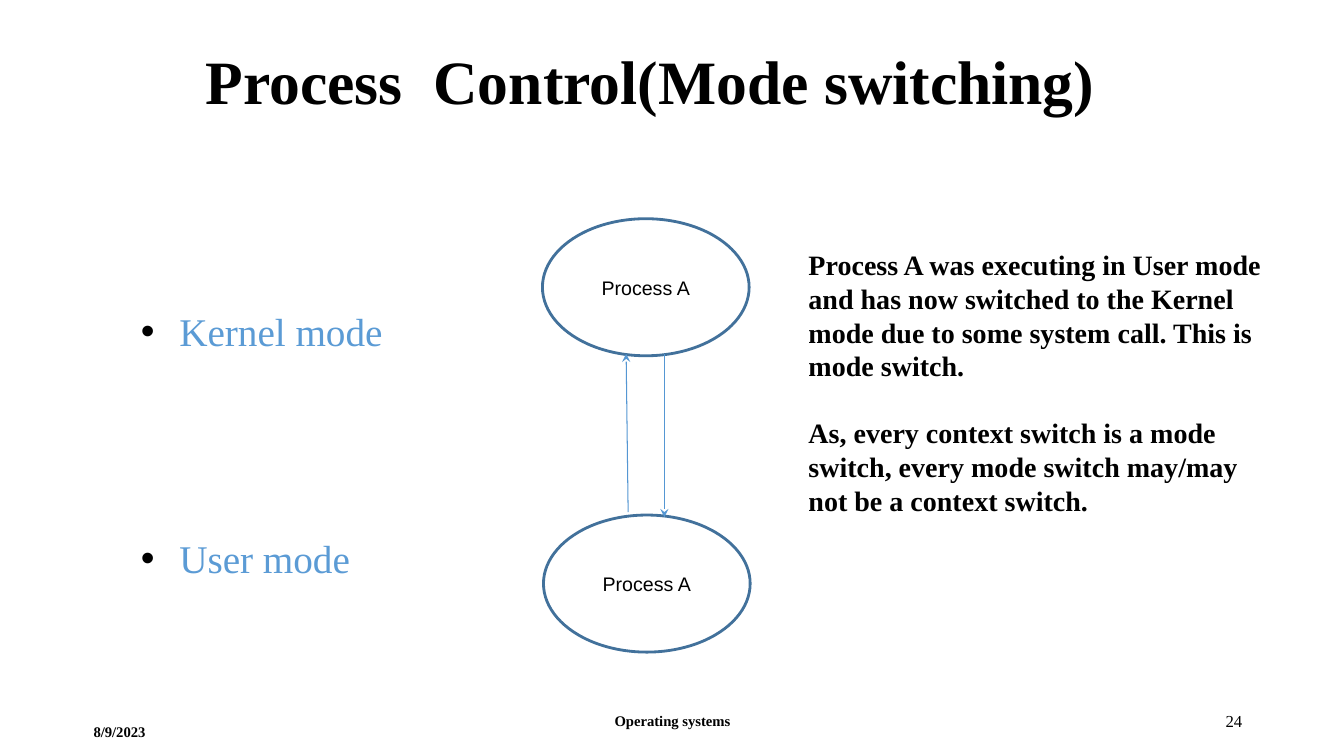
from dataclasses import dataclass
from lxml.etree import SubElement
from pptx import Presentation
from pptx.dml.color import RGBColor
from pptx.enum.shapes import MSO_CONNECTOR, MSO_SHAPE
from pptx.enum.text import MSO_ANCHOR, PP_ALIGN
from pptx.oxml.ns import qn
from pptx.util import Inches, Pt


@dataclass(frozen=True)
class Theme:
    """Colours, fonts and type sizes of the slide."""
    ink: str = "000000"
    paper: str = "FFFFFF"
    mode: str = "5B9BD5"
    rim: str = "42719B"
    arrow: str = "5597D3"
    serif: str = "Times New Roman"
    sans: str = "Arial"
    title: float = 44
    list: float = 28
    note: float = 20
    node: float = 14
    page: float = 12
    foot: float = 10.5


class Deck:
    """Draws styled elements on the current slide."""

    def __init__(self, theme):
        self.theme = theme
        self.show = Presentation()
        self.show.slide_width = Inches(13.33)
        self.show.slide_height = Inches(7.5)
        self.slide = self.show.slides.add_slide(self.show.slide_layouts[6])

    def label(self, frame, lines, size, bold=False, color=None, font=None,
              align=PP_ALIGN.LEFT, anchor=MSO_ANCHOR.MIDDLE, gap=0, lead=1.0, dots=False):
        """Fill a frame with one paragraph per line."""
        frame.word_wrap = True
        frame.vertical_anchor = anchor
        for i, line in enumerate(lines):
            para = frame.add_paragraph() if i else frame.paragraphs[0]
            para.alignment = align
            para.line_spacing = lead
            if i:
                para.space_before = Pt(gap)
            if dots:
                self.dot(para)
            run = para.add_run()
            run.text = line
            run.font.size = Pt(size)
            run.font.bold = bold
            run.font.name = font or self.theme.serif
            run.font.color.rgb = RGBColor.from_string(color or self.theme.ink)

    def dot(self, para):
        """Give a paragraph a bullet and a hanging indent."""
        props = para._p.get_or_add_pPr()
        props.set("marL", str(Inches(0.5)))
        props.set("indent", str(-Inches(0.38)))
        tint = SubElement(props, qn("a:buClr"))
        SubElement(tint, qn("a:srgbClr"), val=self.theme.ink)
        SubElement(props, qn("a:buFont"), typeface=self.theme.sans)
        SubElement(props, qn("a:buChar"), char="•")

    def text(self, box, lines, size, **style):
        """Add a text box."""
        shape = self.slide.shapes.add_textbox(*map(Inches, box))
        self.label(shape.text_frame, lines, size, **style)

    def node(self, left, top, name):
        """Add a process ellipse."""
        shape = self.slide.shapes.add_shape(
            MSO_SHAPE.OVAL, *map(Inches, (left, top, 2.05, 1.36)))
        shape.shadow.inherit = False
        shape.fill.solid()
        shape.fill.fore_color.rgb = RGBColor.from_string(self.theme.paper)
        shape.line.color.rgb = RGBColor.from_string(self.theme.rim)
        shape.line.width = Pt(2)
        self.label(shape.text_frame, [name], self.theme.node,
                   font=self.theme.sans, align=PP_ALIGN.CENTER)

    def arrow(self, start, end):
        """Add a straight arrow."""
        link = self.slide.shapes.add_connector(
            MSO_CONNECTOR.STRAIGHT, *map(Inches, start + end))
        link.line.color.rgb = RGBColor.from_string(self.theme.arrow)
        link.line.width = Pt(0.75)
        props = link._element.spPr
        SubElement(props.find(qn("a:ln")), qn("a:tailEnd"), type="stealth")
        SubElement(props, qn("a:effectLst"))


def main():
    """Build the mode switching slide."""
    theme = Theme()
    deck = Deck(theme)
    deck.text((1.94, 0.31, 10.26, 1.06), ["Process  Control(Mode switching)"],
              theme.title, bold=True, lead=0.9)
    deck.text((1.18, 3.05, 4, 2.8), ["Kernel mode", "User mode"], theme.list,
              color=theme.mode, anchor=MSO_ANCHOR.TOP, gap=132, lead=0.9, dots=True)
    deck.text((0.83, 7.06, 3, 0.4), ["8/9/2023"], theme.foot, bold=True)
    deck.text((4.42, 6.95, 4.5, 0.4), ["Operating systems"], theme.foot,
              bold=True, align=PP_ALIGN.CENTER)
    deck.text((9.42, 6.95, 3, 0.4), ["24"], theme.page, align=PP_ALIGN.RIGHT)
    for left, top in ((5.39, 5.11), (5.38, 2.17)):
        deck.node(left, top, "Process A")
    deck.arrow((6.23, 5.08), (6.21, 3.51))
    deck.arrow((6.59, 3.51), (6.59, 5.13))
    deck.text((7.92, 2.41, 4.75, 2.79), [
        "Process A was executing in User mode and has now switched to the Kernel mode "
        "due to some system call. This is mode switch.",
        "As, every context switch is a mode switch, every mode switch may/may "
        "not be a context switch.",
    ], theme.note, bold=True, anchor=MSO_ANCHOR.TOP, gap=24)
    deck.show.save("out.pptx")


if __name__ == "__main__":
    main()
